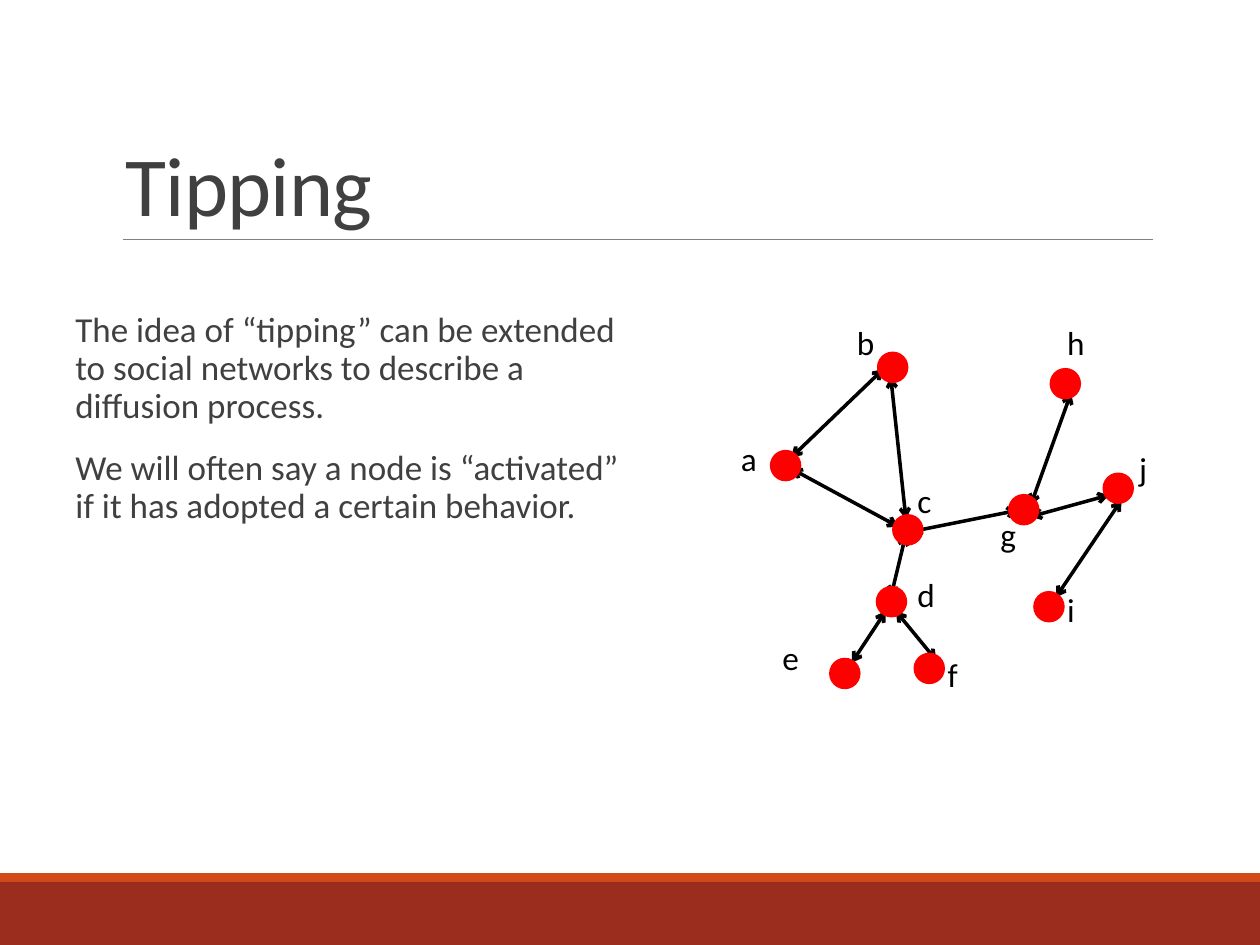
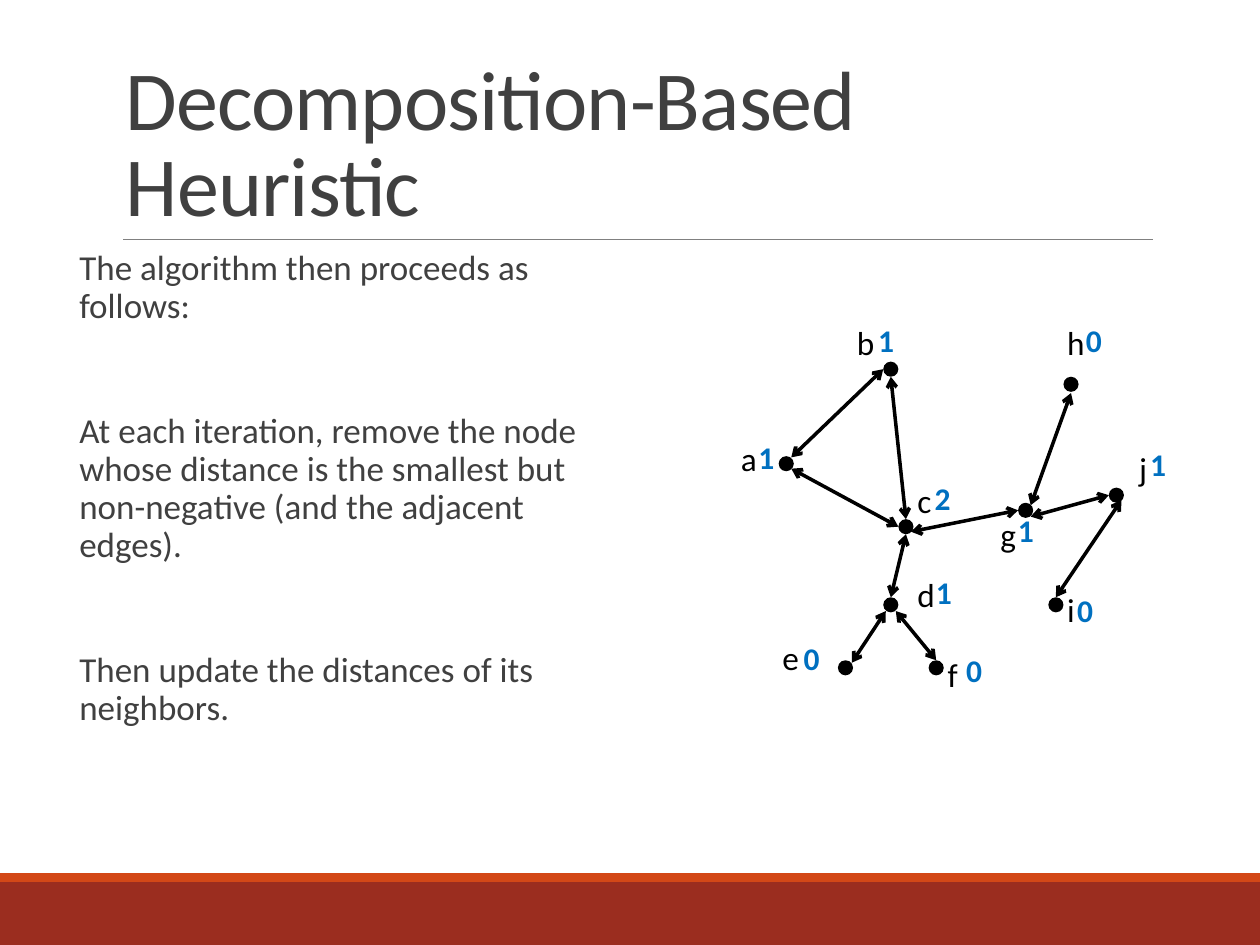
from dataclasses import dataclass

from lxml import etree
from pptx import Presentation
from pptx import util as u
from pptx.dml import color
from pptx.enum import shapes, text
from pptx.oxml import ns


@dataclass(frozen=True)
class Theme:
    """Colours, font and type sizes shared by the slides."""
    font: str = "Calibri"
    band: str = "9B2D1F"
    accent: str = "D34817"
    rule: str = "808080"
    ink: str = "404040"
    graph: str = "000000"
    active: str = "FF0000"
    score: str = "0070C0"
    title_size: float = 48
    body_size: float = 20
    label_size: float = 19
    score_size: float = 18


@dataclass(frozen=True)
class Box:
    """A region in inches that places its parts relative to its corner."""
    left: float
    top: float
    width: float
    height: float

    def inside(self, left, top, width, height):
        """Return a box offset from this one's corner."""
        return Box(self.left + left, self.top + top, width, height)

    def lengths(self):
        """Return the four measures as slide lengths."""
        return [u.Inches(value) for value in (self.left, self.top, self.width, self.height)]


@dataclass(frozen=True)
class Node:
    """A graph node with the corners of its parts within the graph box."""
    name: str
    dot: tuple
    label: tuple
    spot: tuple
    score_at: tuple
    score: str
    label_width: float = 0.71


THEME = Theme()
PAGE = Box(0, 0, 10, 7.5)
TITLE = Box(0.9, 0.31, 8.25, 1.59)
GRAPH = Box(5.73, 2.49, 3.72, 3.1)
DOT_SIZE = 0.12
SPOT_SIZE = 0.25

NODES = [
    Node("a", (0.45, 1.13), (0, 0.92), (0.38, 1.08), (0.19, 0.94), "1", 0.85),
    Node("b", (1.28, 0.38), (0.92, 0), (1.23, 0.3), (1.14, 0.01), "1", 0.95),
    Node("c", (1.4, 1.63), (1.4, 1.25), (1.35, 1.59), (1.59, 1.26), "2"),
    Node("d", (1.28, 2.25), (1.4, 2), (1.22, 2.16), (1.6, 2.01), "1"),
    Node("e", (0.92, 2.75), (0.33, 2.5), (0.85, 2.73), (0.55, 2.53), "0"),
    Node("f", (1.64, 2.75), (1.64, 2.63), (1.52, 2.69), (1.84, 2.63), "0"),
    Node("g", (2.35, 1.5), (2.06, 1.52), (2.27, 1.43), (2.25, 1.52), "1", 0.38),
    Node("h", (2.71, 0.5), (2.59, 0), (2.6, 0.43), (2.79, 0.01), "0"),
    Node("j", (3.07, 1.38), (3.16, 1), (3.02, 1.26), (3.3, 0.99), "1", 0.44),
    Node("i", (2.59, 2.25), (2.59, 2.12), (2.47, 2.2), (2.72, 2.15), "0"),
]

EDGES = [
    ((1.28, 0.44), (0.55, 1.14)),
    ((1.34, 0.5), (1.46, 1.63)),
    ((1.4, 1.69), (0.55, 1.23)),
    ((1.34, 2.25), (1.46, 1.75)),
    ((1.7, 2.75), (1.38, 2.36)),
    ((1.03, 2.77), (1.3, 2.36)),
    ((2.35, 1.56), (1.5, 1.73)),
    ((2.77, 0.63), (2.45, 1.52)),
    ((3.07, 1.44), (2.45, 1.61)),
    ((2.65, 2.25), (3.17, 1.48)),
]


def rgb(value):
    """Turn a hex string into a colour."""
    return color.RGBColor.from_string(value)


def add_solid(slide, kind, box, fill):
    """Add a filled shape without outline or shadow."""
    shape = slide.shapes.add_shape(kind, *box.lengths())
    shape.shadow.inherit = False
    shape.fill.solid()
    shape.fill.fore_color.rgb = rgb(fill)
    shape.line.fill.background()


def add_line(slide, start, end, ink, width, arrows=False):
    """Add a straight line, with arrowheads at both ends if asked."""
    points = [u.Inches(value) for value in (*start, *end)]
    line = slide.shapes.add_connector(shapes.MSO_CONNECTOR.STRAIGHT, *points)
    line.line.color.rgb = rgb(ink)
    line.line.width = u.Pt(width)
    if arrows:
        outline = line.line._get_or_add_ln()
        for end_name in ("a:headEnd", "a:tailEnd"):
            etree.SubElement(outline, ns.qn(end_name), type="arrow")
    etree.SubElement(line._element.spPr, ns.qn("a:effectLst"))


def add_frame(slide, box, margins=(0.1, 0.05)):
    """Add a wrapping text box and return its frame."""
    frame = slide.shapes.add_textbox(*box.lengths()).text_frame
    frame.word_wrap = True
    frame.margin_left = frame.margin_right = u.Inches(margins[0])
    frame.margin_top = frame.margin_bottom = u.Inches(margins[1])
    return frame


def add_run(paragraph, words, size, ink, bold=False):
    """Add one styled run to a paragraph."""
    run = paragraph.add_run()
    run.text = words
    run.font.name = THEME.font
    run.font.size = u.Pt(size)
    run.font.bold = bold
    run.font.color.rgb = rgb(ink)
    return run


def add_bands(slide, box):
    """Draw the two footer bands along the bottom of the page."""
    rectangle = shapes.MSO_SHAPE.RECTANGLE
    add_solid(slide, rectangle, box.inside(0, box.height - 0.5, box.width, 0.5), THEME.band)
    add_solid(slide, rectangle, box.inside(0, box.height - 0.57, box.width, 0.07), THEME.accent)


def add_title(slide, box, words):
    """Write the title on the rule that closes its box."""
    bottom = box.top + box.height
    add_line(slide, (box.left + 0.08, bottom), (box.left + box.width, bottom), THEME.rule, 0.5)
    frame = add_frame(slide, box)
    frame.vertical_anchor = text.MSO_ANCHOR.BOTTOM
    paragraph = frame.paragraphs[0]
    paragraph.line_spacing = 0.85
    run = add_run(paragraph, words, THEME.title_size, THEME.ink)
    run.font._element.set("spc", "-50")


def add_body(slide, box, paragraphs, indent, gap):
    """Write the body paragraphs with an even gap between them."""
    frame = add_frame(slide, box, (0, 0.05))
    frame.margin_left = u.Inches(indent)
    for index, words in enumerate(paragraphs):
        paragraph = frame.add_paragraph() if index else frame.paragraphs[0]
        paragraph.line_spacing = 0.9
        paragraph.space_before = u.Pt(gap if index else 0)
        paragraph.space_after = u.Pt(2)
        add_run(paragraph, words, THEME.body_size, THEME.ink)


def add_mark(slide, box, words, size, ink, margins=(0.1, 0.05), bold=False):
    """Write a short mark beside a node."""
    frame = add_frame(slide, box, margins)
    frame.auto_size = text.MSO_AUTO_SIZE.SHAPE_TO_FIT_TEXT
    add_run(frame.paragraphs[0], words, size, ink, bold)


def add_circles(slide, box, corners, size, fill):
    """Draw equal circles at the given corners of the box."""
    for corner in corners:
        add_solid(slide, shapes.MSO_SHAPE.OVAL, box.inside(*corner, size, size), fill)


def add_graph(slide, box):
    """Draw the nodes, edges and node names of the network."""
    add_circles(slide, box, [node.dot for node in NODES], DOT_SIZE, THEME.graph)
    for edge in EDGES:
        start, end = [(box.left + x, box.top + y) for x, y in edge]
        add_line(slide, start, end, THEME.graph, 2, arrows=True)
    for node in NODES:
        label = box.inside(*node.label, node.label_width, 0.47)
        add_mark(slide, label, node.name, THEME.label_size, THEME.graph, (0.15, 0.07))


def add_activation(slide, box):
    """Cover every node with an activated spot."""
    add_circles(slide, box, [node.spot for node in NODES], SPOT_SIZE, THEME.active)


def add_scores(slide, box):
    """Write the distance of each node beside its name."""
    for node in NODES:
        place = box.inside(*node.score_at, 0.42, 0.4)
        add_mark(slide, place, node.score, THEME.score_size, THEME.score, bold=True)


def add_network_slide(presentation, title, body_box, paragraphs, indent, gap, overlay):
    """Build a slide with text on the left and the network on the right."""
    slide = presentation.slides.add_slide(presentation.slide_layouts[6])
    add_bands(slide, PAGE)
    add_title(slide, TITLE, title)
    add_body(slide, body_box, paragraphs, indent, gap)
    add_graph(slide, GRAPH)
    overlay(slide, GRAPH)


def main():
    """Build and save the presentation."""
    presentation = Presentation()
    presentation.slide_width = u.Inches(PAGE.width)
    presentation.slide_height = u.Inches(PAGE.height)
    add_network_slide(
        presentation,
        "Tipping",
        Box(0.5, 2.43, 4.5, 4.21),
        [
            "The idea of “tipping” can be extended to social networks to describe a "
            "diffusion process.",
            "We will often say a node is “activated” if it has adopted a certain behavior.",
        ],
        indent=0.1,
        gap=12,
        overlay=add_activation,
    )
    add_network_slide(
        presentation,
        "Decomposition-Based Heuristic",
        Box(0.5, 1.94, 4.5, 5.06),
        [
            "The algorithm then proceeds as follows:",
            "At each iteration, remove the node whose distance is the smallest but "
            "non-negative (and the adjacent edges).",
            "Then update the distances of its neighbors.",
        ],
        indent=0.13,
        gap=48,
        overlay=add_scores,
    )
    presentation.save("out.pptx")


if __name__ == "__main__":
    main()
